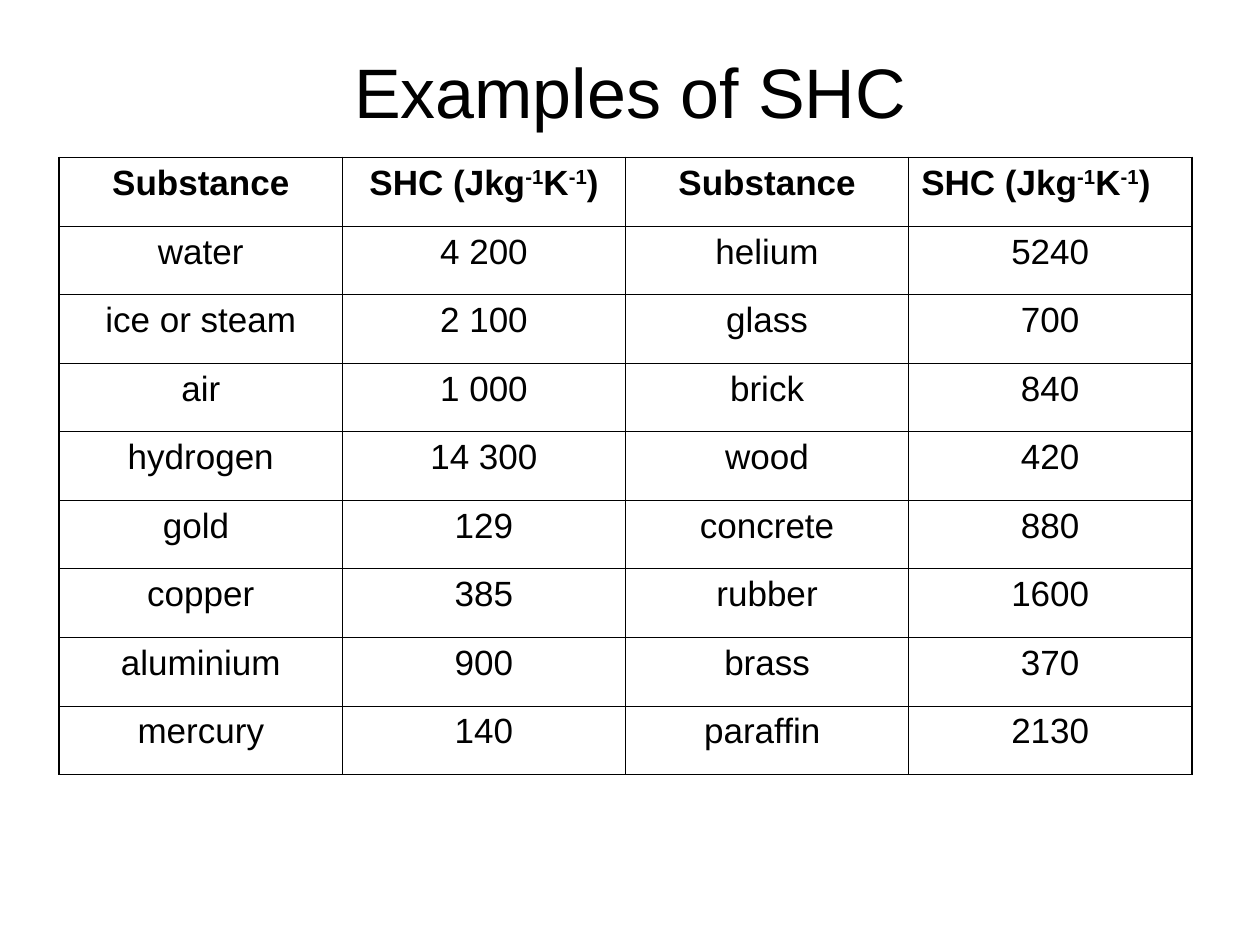
from lxml import etree
from pptx import Presentation
from pptx import util as u
from pptx.dml import color
from pptx.enum import text
from pptx.oxml import ns

COLORS = {"ink": "000000", "paper": "FFFFFF"}
FONT = "Arial"
UNIT = [("SHC (Jkg", False), ("-1", True), ("K", False), ("-1", True), (")", False)]
HEADER = [[("Substance", False)], UNIT] * 2
SUBSTANCES = [
    ("water", "4 200", "helium", "5240"),
    ("ice or steam", "2 100", "glass", "700"),
    ("air", "1 000", "brick", "840"),
    ("hydrogen", "14 300", "wood", "420"),
    ("gold ", "129", "concrete", "880"),
    ("copper", "385", "rubber", "1600"),
    ("aluminium", "900", "brass", "370"),
    ("mercury", "140", "paraffin ", "2130"),
]
ROWS = [HEADER] + [[[(value, False)] for value in row] for row in SUBSTANCES]
LAST_ROW, LAST_COLUMN = len(ROWS) - 1, len(HEADER) - 1
TABLE_HEIGHT = 4.9


def add_run(paragraph, wording, size, bold=False, superscript=False):
    run = paragraph.add_run()
    run.text = wording
    run.font.name = FONT
    run.font.size = u.Pt(size)
    run.font.bold = bold
    run.font.color.rgb = color.RGBColor.from_string(COLORS["ink"])
    if superscript:
        run._r.get_or_add_rPr().set("baseline", "30000")


def add_border(cell, side, width):
    line = etree.SubElement(cell._tc.get_or_add_tcPr(), ns.qn(f"a:ln{side}"), w=str(u.Pt(width)))
    fill = etree.SubElement(line, ns.qn("a:solidFill"))
    etree.SubElement(fill, ns.qn("a:srgbClr"), val=COLORS["ink"])


presentation = Presentation()
presentation.slide_width = u.Inches(10)
presentation.slide_height = u.Inches(7.5)
slide = presentation.slides.add_slide(presentation.slide_layouts[5])
slide.background.fill.solid()
slide.background.fill.fore_color.rgb = color.RGBColor.from_string(COLORS["paper"])

title = slide.shapes.title
title.left, title.top = u.Inches(0.5), u.Inches(0.3)
title.width, title.height = u.Inches(9), u.Inches(0.83)
title.text_frame.vertical_anchor = text.MSO_ANCHOR.MIDDLE
title_paragraph = title.text_frame.paragraphs[0]
title_paragraph.alignment = text.PP_ALIGN.CENTER
add_run(title_paragraph, "Examples of SHC", 40)

table = slide.shapes.add_table(
    len(ROWS), len(HEADER),
    u.Inches(0.47), u.Inches(1.25), u.Inches(8.99), u.Inches(TABLE_HEIGHT),
).table
table.first_row = False
table.horz_banding = False
for row in table.rows:
    row.height = u.Inches(TABLE_HEIGHT / len(ROWS))

for row_index, row in enumerate(ROWS):
    for column_index, runs in enumerate(row):
        cell = table.cell(row_index, column_index)
        cell.margin_left = cell.margin_right = u.Inches(0.1)
        cell.margin_top = cell.margin_bottom = u.Inches(0.05)
        outer_sides = {
            "L": column_index == 0,
            "R": column_index == LAST_COLUMN,
            "T": row_index == 0,
            "B": row_index == LAST_ROW,
        }
        for side, is_outer in outer_sides.items():
            add_border(cell, side, 1.08 if is_outer else 0.45)
        cell.fill.background()

        paragraph = cell.text_frame.paragraphs[0]
        is_last_header = row_index == 0 and column_index == LAST_COLUMN
        paragraph.alignment = text.PP_ALIGN.LEFT if is_last_header else text.PP_ALIGN.CENTER
        for wording, superscript in runs:
            add_run(paragraph, wording, 20, row_index == 0, superscript)

presentation.save("out.pptx")
